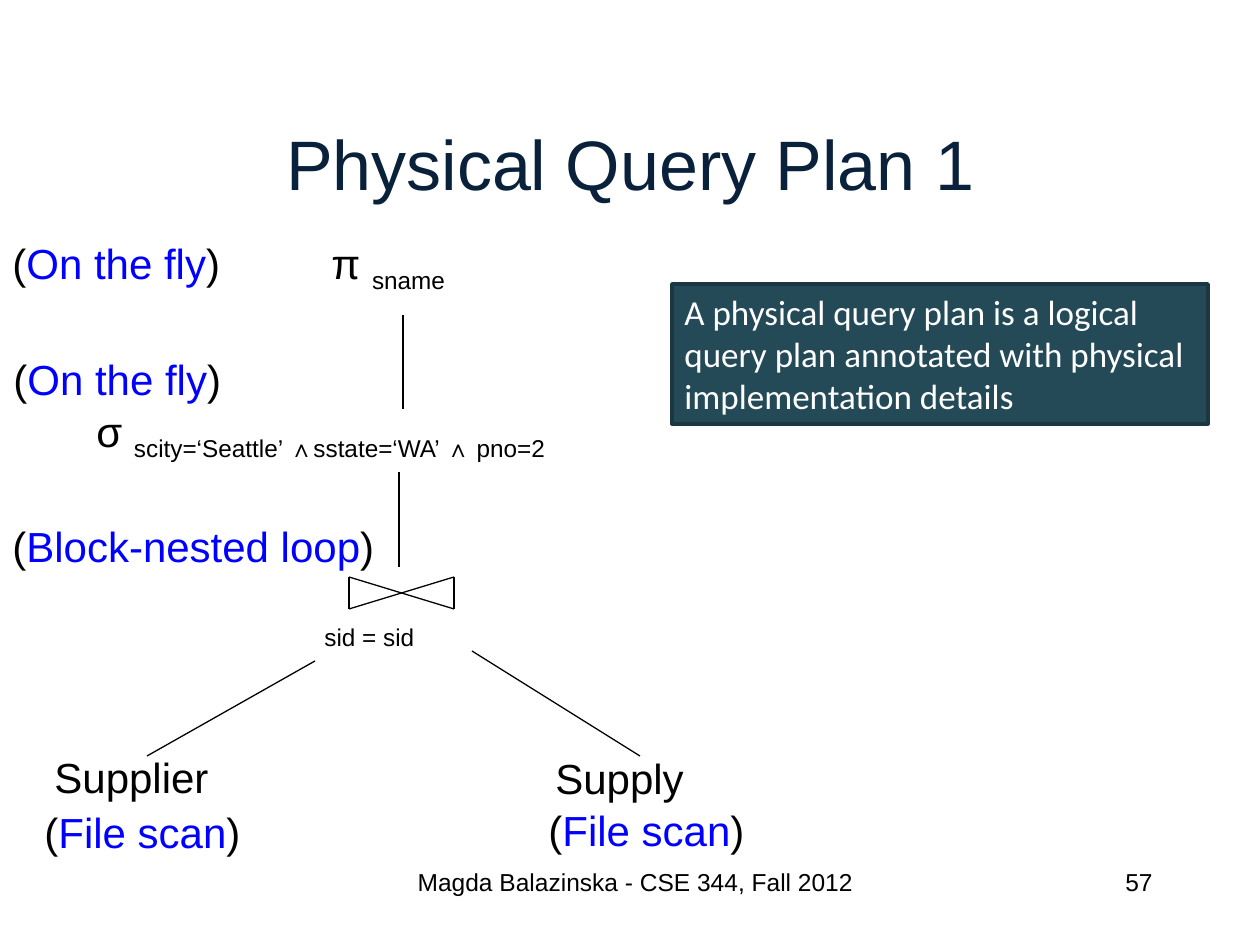
import pptx
import pptx.util
import pptx.dml.color
import pptx.enum.shapes
import pptx.enum.text
import pptx.oxml.ns
import lxml.etree

EMU_PER_PX = 914400 / 126
BLACK = pptx.dml.color.RGBColor(0x00, 0x00, 0x00)
BLUE = pptx.dml.color.RGBColor(0x00, 0x00, 0xFF)
WHITE = pptx.dml.color.RGBColor(0xFF, 0xFF, 0xFF)
NAVY = pptx.dml.color.RGBColor(0x09, 0x21, 0x3B)
TEAL = pptx.dml.color.RGBColor(0x24, 0x4A, 0x58)
DARK_TEAL = pptx.dml.color.RGBColor(0x1B, 0x37, 0x41)
ALIGN = pptx.enum.text.PP_ALIGN
ANCHOR = pptx.enum.text.MSO_ANCHOR


def px(*lengths):
    return [round(length * EMU_PER_PX) for length in lengths]


def write_text(shape, *parts, size=24, font="Arial", color=BLACK,
               align=ALIGN.LEFT, anchor=ANCHOR.TOP, wrap=False):
    """Each part is a text, or a (text, color, baseline) tuple."""
    frame = shape.text_frame
    frame.word_wrap = wrap
    frame.vertical_anchor = anchor
    paragraph = frame.paragraphs[0]
    paragraph.alignment = align
    for part in parts:
        text, run_color, baseline = part if isinstance(part, tuple) else (part, color, 0)
        run = paragraph.add_run()
        run.text = text
        run.font.size = pptx.util.Pt(size)
        run.font.name = font
        run.font.color.rgb = run_color
        if baseline:
            run.font._element.set("baseline", str(baseline * 1000))


presentation = pptx.Presentation()
presentation.slide_width, presentation.slide_height = px(1260, 945)
slide = presentation.slides.add_slide(presentation.slide_layouts[5])
shapes = slide.shapes

# Title
title = shapes.title
title.left, title.top, title.width, title.height = px(94, 84, 1072, 158)
write_text(title, "Physical Query Plan 1", size=40, color=NAVY,
           align=ALIGN.CENTER, anchor=ANCHOR.MIDDLE, wrap=True)

# Plan tree edges, then the four strokes of the join bowtie
join_left, join_top, join_right, join_bottom = 349, 577, 454, 609
lines = [
    (403, 315, 403, 409),
    (399, 472, 399, 567),
    (147, 756, 315, 661),
    (472, 651, 640, 756),
    (join_left, join_top, join_left, join_bottom),
    (join_right, join_top, join_right, join_bottom),
    (join_left, join_top, join_right, join_bottom),
    (join_right, join_top, join_left, join_bottom),
]
for ends in lines:
    line = shapes.add_connector(pptx.enum.shapes.MSO_CONNECTOR.STRAIGHT, *px(*ends))
    line.line.color.rgb = BLACK
    line.line.width = pptx.util.Pt(0.75)
    lxml.etree.SubElement(line._element.spPr, pptx.oxml.ns.qn("a:effectLst"))

# Operators and relations; subscripts sit 25 % below the baseline
operators = [
    (319, 231, 142, 63, ["π ", ("sname", BLACK, -25)]),
    (84, 399, 518, 63, ["σ ", ("scity=‘Seattle’ ∧sstate=‘WA’ ∧ pno=2", BLACK, -25)]),
    (312, 588, 129, 47, [("sid = sid", BLACK, -25)]),
    (42, 745, 180, 63, ["Supplier"]),
    (543, 746, 154, 63, ["Supply"]),
]
for *box, parts in operators:
    write_text(shapes.add_textbox(*px(*box)), *parts)

# Physical implementation of each operator
annotations = [
    (0, 231, 233, "On the fly"),
    (1, 347, 233, "On the fly"),
    (0, 514, 388, "Block-nested loop"),
    (32, 800, 222, "File scan"),
    (536, 798, 222, "File scan"),
]
for left, top, width, method in annotations:
    write_text(shapes.add_textbox(*px(left, top, width, 63)), "(", (method, BLUE, 0), ")")

# Definition box
definition = shapes.add_shape(pptx.enum.shapes.MSO_SHAPE.RECTANGLE, *px(672, 284, 536, 140))
definition.shadow.inherit = False
definition.fill.solid()
definition.fill.fore_color.rgb = TEAL
definition.line.color.rgb = DARK_TEAL
definition.line.width = pptx.util.Pt(2)
write_text(definition, "A physical query plan is a logical query plan annotated with "
           "physical implementation details", size=20, font="Calibri", color=WHITE, wrap=True)

# Footer and slide number
write_text(shapes.add_textbox(*px(399, 861, 473, 63)),
           "Magda Balazinska - CSE 344, Fall 2012", size=14, align=ALIGN.CENTER, wrap=True)
write_text(shapes.add_textbox(*px(903, 861, 262, 63)), "57",
           size=14, align=ALIGN.RIGHT, wrap=True)

presentation.save("out.pptx")
